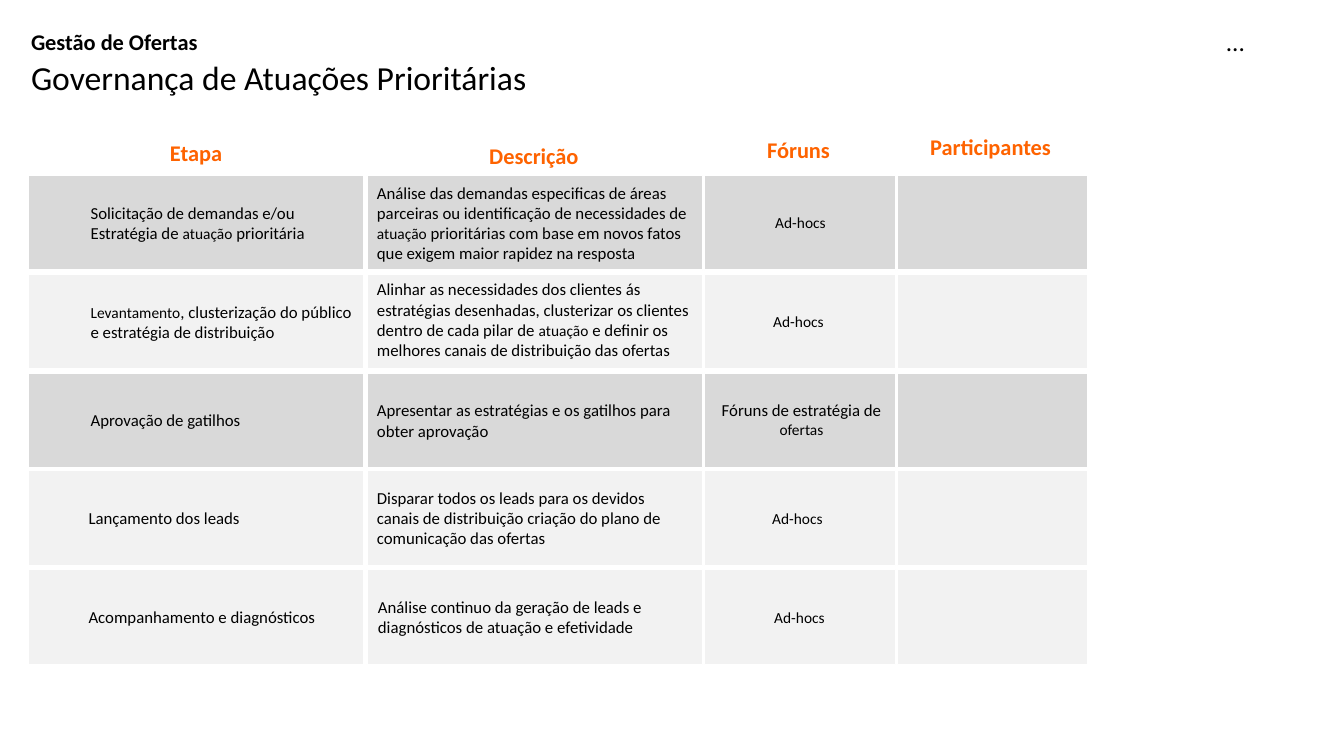
from dataclasses import dataclass

from pptx import Presentation
from pptx.dml.color import RGBColor as Rgb
from pptx.enum.shapes import MSO_SHAPE as Shape
from pptx.enum.text import MSO_AUTO_SIZE as Fit, PP_ALIGN as Align
from pptx.util import Inches, Pt

COLORS = {"black": "000000", "white": "FFFFFF", "orange": "FE6300",
          "dark": "D9D9D9", "light": "F2F2F2"}
FONT = "Calibri"
HIGH = 0.94


@dataclass
class Column:
    left: float
    width: float
    head: str
    head_top: float
    head_width: float


@dataclass
class Cell:
    left: float
    top: float
    width: float
    text: str  # words between bars are set in the small size


@dataclass
class Row:
    top: float
    fill: str
    step: Cell
    about: Cell
    forum: Cell


COLUMNS = [
    Column(0.28, 3.33, "Etapa", 1.33, 3.33),
    Column(3.64, 3.33, "Descrição", 1.36, 3.31),
    Column(6.99, 1.89, "Fóruns", 1.3, 1.86),
    Column(8.9, 1.89, "Participantes", 1.27, 1.85),
]

ROWS = [
    Row(1.74, "dark",
        Cell(0.8, 1.96, 2.79, "Solicitação de demandas e/ou Estratégia de |atuação| prioritária"),
        Cell(3.64, 1.76, 3.35, "Análise das demandas especificas de áreas parceiras ou "
             "identificação de necessidades de |atuação| prioritárias com base em "
             "novos fatos que exigem maior rapidez na resposta"),
        Cell(7.01, 2.07, 1.86, "|Ad-hocs|")),
    Row(2.72, "light",
        Cell(0.8, 2.94, 2.79, "|Levantamento|, clusterização do público e estratégia de distribuição"),
        Cell(3.64, 2.72, 3.31, "Alinhar as necessidades dos clientes ás estratégias "
             "desenhadas, clusterizar os clientes dentro de cada pilar de |atuação| e "
             "definir os melhores canais de distribuição das ofertas"),
        Cell(6.99, 3.05, 1.86, "|Ad-hocs|")),
    Row(3.7, "dark",
        Cell(0.8, 4.02, 2.79, "Aprovação de gatilhos"),
        Cell(3.64, 3.92, 3.31, "Apresentar as estratégias e os gatilhos para obter aprovação"),
        Cell(7.02, 3.92, 1.86, "Fóruns de estratégia de |ofertas|")),
    Row(4.67, "light",
        Cell(0.78, 4.99, 2.79, "Lançamento dos leads"),
        Cell(3.64, 4.79, 3.3, "Disparar todos os leads para os devidos canais de "
             "distribuição criação do plano de comunicação das ofertas"),
        Cell(6.98, 5, 1.86, "|Ad-hocs|")),
    Row(5.65, "light",
        Cell(0.78, 5.97, 2.79, "Acompanhamento e diagnósticos"),
        Cell(3.65, 5.87, 3.32, "Análise continuo da geração de leads e diagnósticos "
             "de atuação e efetividade"),
        Cell(7, 5.98, 1.86, "|Ad-hocs|")),
]


def color(name: str) -> Rgb:
    return Rgb.from_string(COLORS[name])


def write(slide, text: str, left: float, top: float, width: float, *,
          height: float = 0.3, size: float = 12, small: float = 11,
          bold: bool = False, ink: str = "black", align=Align.LEFT,
          wrap: bool = True) -> None:
    box = slide.shapes.add_textbox(Inches(left), Inches(top), Inches(width), Inches(height))
    frame = box.text_frame
    frame.word_wrap = wrap
    frame.auto_size = Fit.SHAPE_TO_FIT_TEXT
    para = frame.paragraphs[0]
    para.alignment = align
    for i, part in enumerate(text.split("|")):
        if not part:
            continue
        run = para.add_run()
        run.text = part
        run.font.name = FONT
        run.font.size = Pt(small if i % 2 else size)
        run.font.bold = bold
        run.font.color.rgb = color(ink)


def block(slide, col: Column, row: Row) -> None:
    rect = slide.shapes.add_shape(Shape.RECTANGLE, Inches(col.left), Inches(row.top),
                                  Inches(col.width), Inches(HIGH))
    rect.shadow.inherit = False
    rect.fill.solid()
    rect.fill.fore_color.rgb = color(row.fill)
    rect.line.color.rgb = color("white")
    rect.line.width = Pt(1)


def main() -> None:
    deck = Presentation()
    deck.slide_width, deck.slide_height = Inches(13.33), Inches(7.5)
    slide = deck.slides.add_slide(deck.slide_layouts[6])

    # Titles
    write(slide, "Governança de Atuações Prioritárias", 0.21, 0.52, 5.16,
          height=0.5, size=24, wrap=False)
    write(slide, "Gestão de Ofertas", 0.21, 0.23, 1.87,
          height=0.37, size=16, bold=True, wrap=False)
    write(slide, "...", 12.06, 0.21, 0.39, height=0.4, size=18, wrap=False)

    # Column heads
    for col in COLUMNS:
        write(slide, col.head, col.left, col.head_top, col.head_width, height=0.37,
              size=16, bold=True, ink="orange", align=Align.CENTER)

    # Grid rows
    for row in ROWS:
        for col in COLUMNS:
            block(slide, col, row)
        for cell in (row.step, row.about, row.forum):
            align = Align.CENTER if cell is row.forum else Align.LEFT
            write(slide, cell.text, cell.left, cell.top, cell.width, align=align)

    deck.save("out.pptx")


if __name__ == "__main__":
    main()
